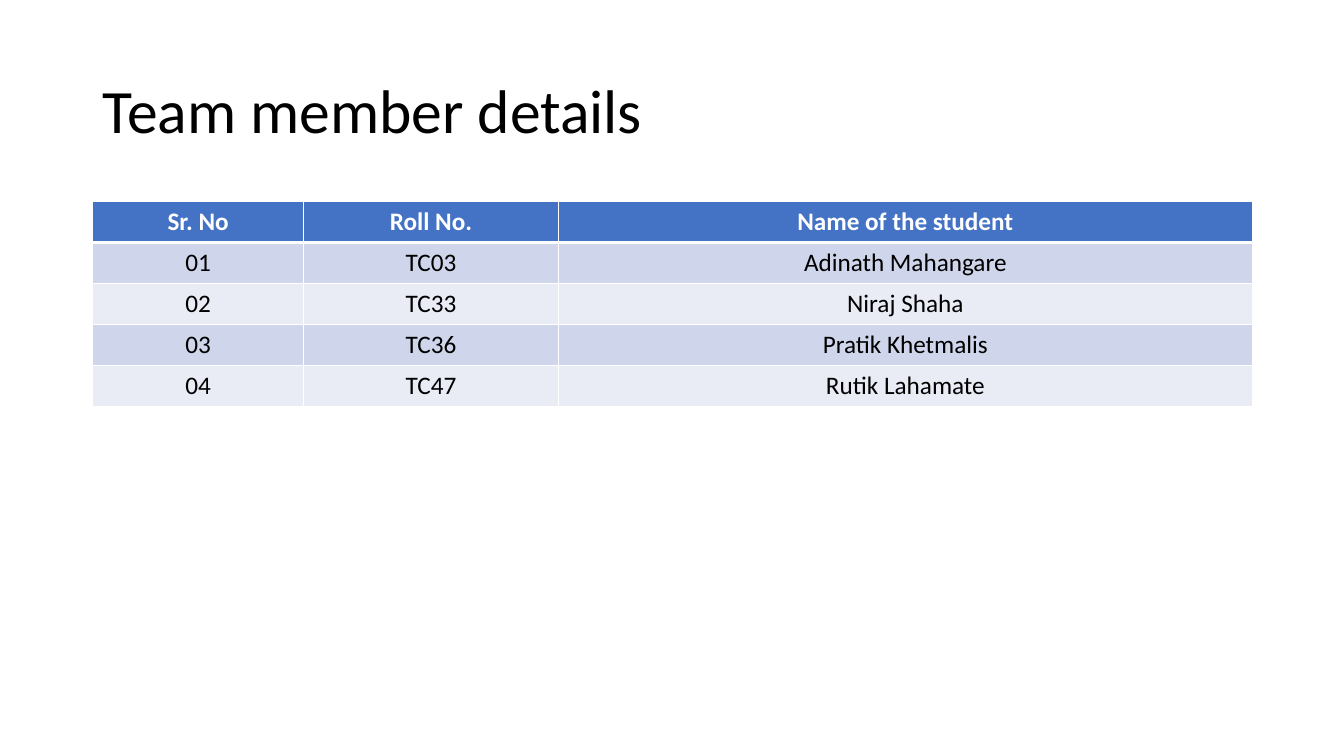
from pptx import Presentation
from pptx.dml.color import RGBColor
from pptx.enum.text import MSO_ANCHOR, PP_ALIGN
from pptx.oxml import parse_xml
from pptx.oxml.ns import nsdecls
from pptx.util import Inches, Pt

MIDDLE = MSO_ANCHOR.MIDDLE
LEFT, CENTER = PP_ALIGN.LEFT, PP_ALIGN.CENTER

BLACK = RGBColor(0x00, 0x00, 0x00)
WHITE = RGBColor(0xFF, 0xFF, 0xFF)
HEADER_BLUE = RGBColor(0x44, 0x72, 0xC4)
BAND_DARK = RGBColor(0xCF, 0xD5, 0xEA)
BAND_LIGHT = RGBColor(0xE9, 0xEB, 0xF5)

MARGIN, CONTENT_WIDTH = 0.92, 11.5
COLUMN_WIDTHS = (2.09, 2.53, 6.88)
MEMBERS = (
    ("Sr. No", "Roll No.", "Name of the student"),
    ("01", "TC03", "Adinath Mahangare"),
    ("02", "TC33", "Niraj Shaha"),
    ("03", "TC36", "Pratik Khetmalis"),
    ("04", "TC47", "Rutik Lahamate"),
)


class SlideBuilder:
    font_name = "Calibri"

    def __init__(self, page):
        self.page = page

    def add_text(self, frame, text, align, color, **font_format):
        para = frame.paragraphs[0]
        para.alignment = align
        span = para.add_run()
        span.text = text
        span.font.color.rgb = color
        for name, value in {"name": self.font_name, **font_format}.items():
            setattr(span.font, name, value)
        return para

    def title(self, text, left, top, width, height):
        box = self.page.shapes.add_textbox(
            Inches(left), Inches(top), Inches(width), Inches(height))
        frame = box.text_frame
        frame.word_wrap = True
        frame.vertical_anchor = MIDDLE
        para = self.add_text(frame, text, LEFT, BLACK, size=Pt(44))
        para.line_spacing = 0.9

    def table(self, rows, column_widths, left, top, height):
        table = self.page.shapes.add_table(
            len(rows), len(column_widths), Inches(left), Inches(top),
            Inches(sum(column_widths)), Inches(height)).table
        for column, width in zip(table.columns, column_widths):
            column.width = Inches(width)
        for row_index, texts in enumerate(rows):
            is_header = row_index == 0
            band = BAND_DARK if row_index % 2 else BAND_LIGHT
            for column_index, text in enumerate(texts):
                cell = table.cell(row_index, column_index)
                cell.fill.solid()
                cell.fill.fore_color.rgb = HEADER_BLUE if is_header else band
                self.add_text(cell.text_frame, text, CENTER,
                              WHITE if is_header else BLACK,
                              size=Pt(18), bold=is_header)
                self.borders(cell, top=3 if row_index == 1 else 1,
                             bottom=3 if is_header else 1)

    def borders(self, cell, top, bottom):
        """Draw white cell borders; widths are in points, 1 at the sides."""
        properties = cell._tc.get_or_add_tcPr()
        sides = {"lnL": 1, "lnR": 1, "lnT": top, "lnB": bottom}
        for position, (side, width) in enumerate(sides.items()):
            properties.insert(position, parse_xml(
                f'<a:{side} {nsdecls("a")} w="{Pt(width)}"><a:solidFill>'
                f'<a:srgbClr val="{WHITE}"/></a:solidFill></a:{side}>'))


def main():
    deck = Presentation()
    deck.slide_width, deck.slide_height = Inches(13.33), Inches(7.5)
    builder = SlideBuilder(deck.slides.add_slide(deck.slide_layouts[6]))
    builder.title("Team member details", MARGIN, 0.4, CONTENT_WIDTH, 1.45)
    builder.table(MEMBERS, COLUMN_WIDTHS, MARGIN, 2, 2.03)
    deck.save("out.pptx")


if __name__ == "__main__":
    main()
